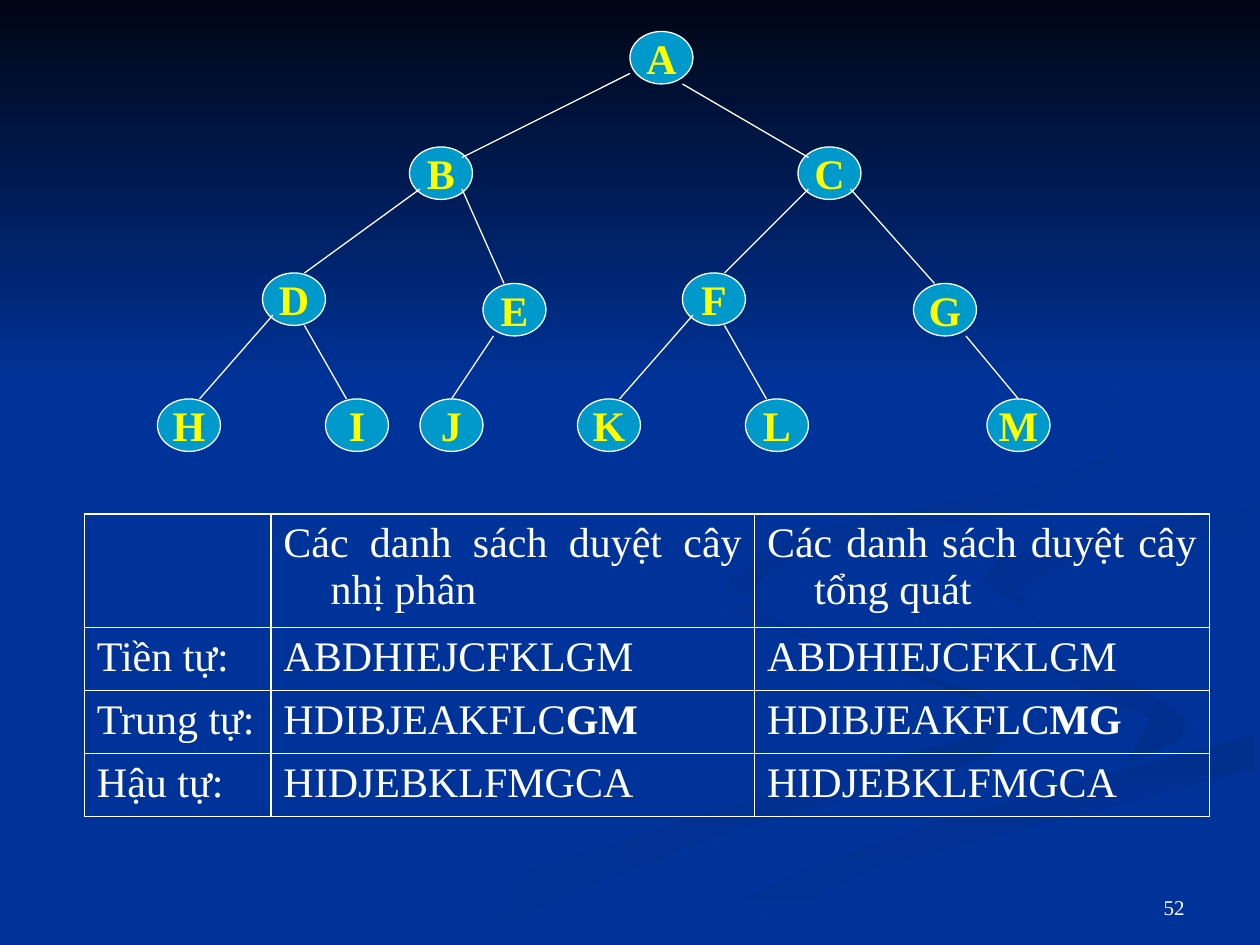
import pptx
import pptx.util
import pptx.dml.color
import pptx.enum.shapes
import pptx.enum.text
import pptx.oxml.ns
from lxml import etree

Cm = pptx.util.Cm
Pt = pptx.util.Pt
ALIGN = pptx.enum.text.PP_ALIGN
ANCHOR = pptx.enum.text.MSO_ANCHOR
qn = pptx.oxml.ns.qn
COLORS = {
    "background": "003399", "night": "000514", "swirl": "002F8E",
    "node": "0099CC", "white": "FFFFFF", "letter": "FFFF00",
}
RGB = {name: pptx.dml.color.RGBColor.from_string(value) for name, value in COLORS.items()}


def write_text(frame, text, size=24, color="white", bold=False, bold_tail="",
               align=ALIGN.LEFT, hanging=None):
    """Fill the first paragraph; bold_tail follows the text in bold."""
    paragraph = frame.paragraphs[0]
    paragraph.alignment = align
    if hanging:
        properties = paragraph._p.get_or_add_pPr()
        properties.set("marL", str(hanging))
        properties.set("indent", str(-hanging))
    for part, weight in ((text, bold), (bold_tail, True)):
        if part:
            run = paragraph.add_run()
            run.text = part
            run.font.name = "Times New Roman"
            run.font.size = Pt(size)
            run.font.bold = weight
            run.font.color.rgb = RGB[color]


presentation = pptx.Presentation()
presentation.slide_width = Cm(25.4)
presentation.slide_height = Cm(19.05)
slide = presentation.slides.add_slide(presentation.slide_layouts[6])
slide.background.fill.solid()
slide.background.fill.fore_color.rgb = RGB["background"]

# Backdrop ribbons in millimetres: points, first colour, last colour, angle
RIBBONS = [
    ([(198, 140), (173, 132), (149, 122), (146, 117), (147, 123), (172, 132), (197, 141),
      (197, 148), (156, 160), (106, 175), (76, 190), (92, 190), (143, 169), (198, 153),
      (203, 148)], "background", "swirl", 0),
    ([(239, 145), (226, 136), (192, 126), (184, 118), (189, 127), (213, 136), (232, 145),
      (227, 154), (238, 149)], "background", "swirl", 45),
    ([(132, 190), (128, 190), (145, 190), (176, 175), (253, 155), (253, 148), (194, 164),
      (160, 176)], "swirl", "background", 90),
    ([(198, 117), (210, 126), (205, 119), (214, 114), (253, 107), (253, 102), (220, 108),
      (201, 113)], "swirl", "background", 45),
    ([(173, 109), (210, 102), (225, 93), (226, 82), (219, 73), (225, 83), (223, 92),
      (207, 98), (159, 108), (147, 117), (158, 127), (151, 119), (158, 113)],
     "swirl", "background", 45),
    ([(0, 0), (0, 78), (254, 78), (254, 0)], "night", "background", 90),
]
for points, first, last, angle in RIBBONS:
    builder = slide.shapes.build_freeform(*points[0], scale=Cm(0.1))
    builder.add_line_segments(points[1:], close=True)
    ribbon = builder.convert_to_shape()
    ribbon.shadow.inherit = False
    ribbon.line.fill.background()
    ribbon.fill.gradient()
    ribbon.fill.gradient_angle = -angle % 360
    for stop, color, position in zip(ribbon.fill.gradient_stops, (first, last), (0, 1)):
        stop.color.rgb = RGB[color]
        stop.position = position

number_box = slide.shapes.add_textbox(Cm(18.21), Cm(17.35), Cm(5.92), Cm(1.32))
number_box.text_frame.word_wrap = True
number_box.text_frame.vertical_anchor = ANCHOR.BOTTOM
write_text(number_box.text_frame, "52", size=12, align=ALIGN.RIGHT)

# Traversal table
ROWS = [
    [("", ""), ("Các danh sách duyệt cây nhị phân", ""),
     ("Các danh sách duyệt cây tổng quát", "")],
    [("Tiền tự:", ""), ("ABDHIEJCFKLGM", ""), ("ABDHIEJCFKLGM", "")],
    [("Trung tự:", ""), ("HDIBJEAKFLC", "GM"), ("HDIBJEAKFLC", "MG")],
    [("Hậu tự:", ""), ("HIDJEBKLFMGCA", ""), ("HIDJEBKLFMGCA", "")],
]
table = slide.shapes.add_table(4, 3, Cm(1.7), Cm(10.36), Cm(22.68), Cm(6.1)).table
table.first_row = False
table.horz_banding = False
for column, width in zip(table.columns, (3.76, 9.75, 9.17)):
    column.width = Cm(width)
for row, height, texts in zip(table.rows, (2.29, 1.27, 1.27, 1.27), ROWS):
    row.height = Cm(height)
    for cell, (text, bold_tail) in zip(row.cells, texts):
        properties = cell._tc.get_or_add_tcPr()
        for side in ("a:lnL", "a:lnR", "a:lnT", "a:lnB"):
            border = etree.SubElement(properties, qn(side), w=str(Pt(1)))
            fill = etree.SubElement(border, qn("a:solidFill"))
            etree.SubElement(fill, qn("a:srgbClr"), val=COLORS["white"])
        cell.fill.background()
        write_text(cell.text_frame, text, bold_tail=bold_tail,
                   align=ALIGN.JUSTIFY, hanging=Cm(0.95))

# Tree on a grid of twelve steps to the inch: left and top of each node
STEP = 2.54 / 12
NODES = {
    "A": (60, 3), "B": (39, 14), "C": (76, 14), "D": (25, 26), "E": (46, 27),
    "F": (65, 26), "G": (87, 27), "H": (15, 38), "I": (31, 38), "J": (40, 38),
    "K": (55, 38), "L": (71, 38), "M": (94, 38),
}
# Parent-child pairs, with the offsets at which their edge leaves and arrives
EDGES = [
    (["AB"], (0, 4), (5, 1)),
    (["AC"], (5, 5), (1, 1)),
    (["BD", "CF", "DH", "FK"], (1, 4), (4, 0)),
    (["BE", "CG"], (5, 4), (2, 0)),
    (["DI", "FL"], (4, 5), (2, 0)),
    (["EJ"], (1, 5), (3, 0)),
    (["GM"], (5, 5), (3, 0)),
]
for letter, (left, top) in NODES.items():
    node = slide.shapes.add_shape(
        pptx.enum.shapes.MSO_SHAPE.OVAL,
        *(Cm(steps * STEP) for steps in (left, top, 6, 5)))
    node.shadow.inherit = False
    node.fill.solid()
    node.fill.fore_color.rgb = RGB["node"]
    node.line.color.rgb = RGB["white"]
    node.line.width = Pt(0.75)
    node.text_frame.word_wrap = False
    node.text_frame.vertical_anchor = ANCHOR.MIDDLE
    write_text(node.text_frame, letter, color="letter", bold=True, align=ALIGN.CENTER)
for pairs, leave, arrive in EDGES:
    for parent, child in pairs:
        ends = [place + offset for place, offset in
                zip(NODES[parent] + NODES[child], leave + arrive)]
        edge = slide.shapes.add_connector(
            pptx.enum.shapes.MSO_CONNECTOR.STRAIGHT, *(Cm(steps * STEP) for steps in ends))
        edge.line.color.rgb = RGB["white"]
        edge.line.width = Pt(0.75)
        etree.SubElement(edge._element.spPr, qn("a:effectLst"))

presentation.save("out.pptx")
